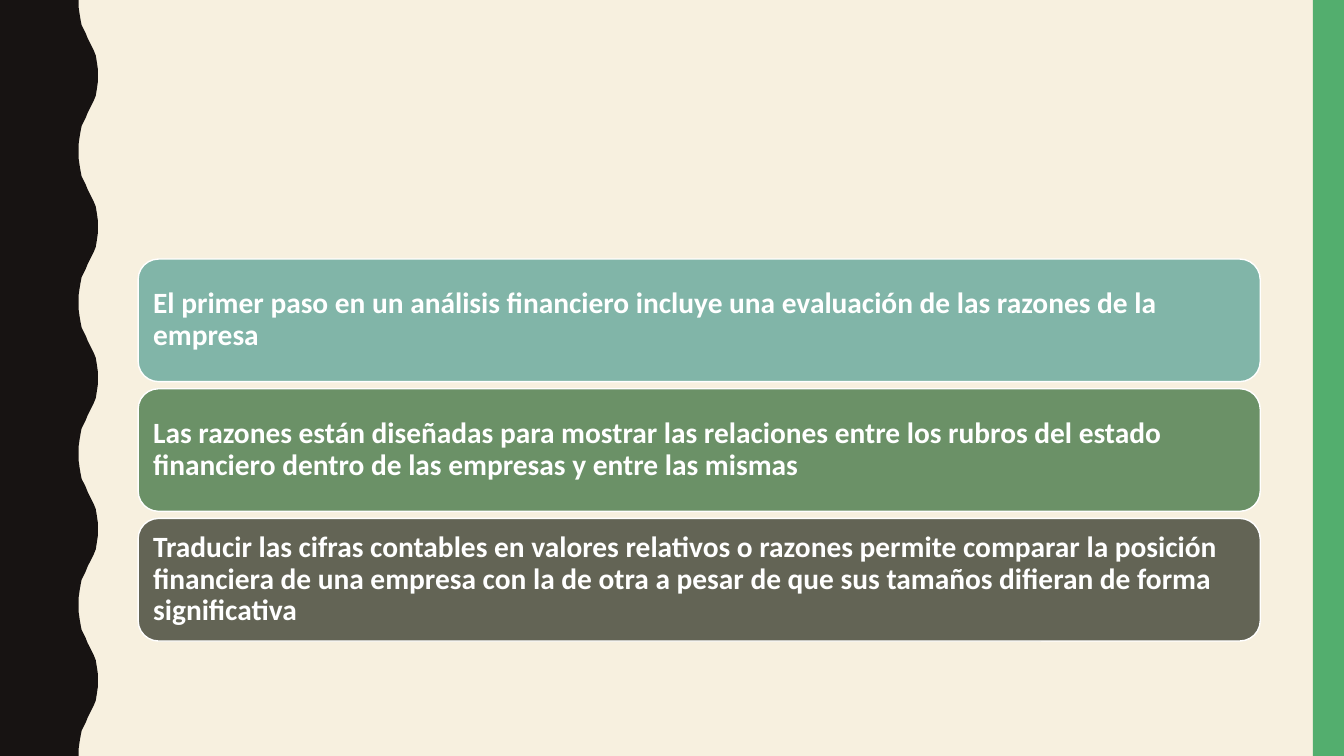
from pptx import Presentation, util as u
from pptx.dml.color import RGBColor
from pptx.enum import shapes, text

COLOURS = {
    "background": "F7F0DF", "wave": "171312", "band": "53AE6E",
    "evaluation": "81B5A8", "design": "6B9167", "comparison": "636455",
    "white": "FFFFFF",
}
WIDTH, HEIGHT = 13.33, 7.5
WAVE_COUNT = 5
HALF_WAVE = [
    (0.78, 0), (0.78, 0.07), (0.79, 0.14), (0.8, 0.2), (0.81, 0.25),
    (0.83, 0.29), (0.85, 0.33), (0.87, 0.38), (0.89, 0.42), (0.91, 0.46),
    (0.93, 0.5), (0.95, 0.55), (0.96, 0.61), (0.97, 0.68), (0.97, 0.75),
]
STATEMENTS = [
    ("evaluation", "El primer paso en un análisis financiero incluye una "
     "evaluación de las razones de la empresa"),
    ("design", "Las razones están diseñadas para mostrar las relaciones entre "
     "los rubros del estado financiero dentro de las empresas y entre las mismas"),
    ("comparison", "Traducir las cifras contables en valores relativos o razones "
     "permite comparar la posición financiera de una empresa con la de otra a "
     "pesar de que sus tamaños difieran de forma significativa"),
]


def paint(fill, colour):
    fill.solid()
    fill.fore_color.rgb = RGBColor.from_string(COLOURS[colour])


def add_wave_edge(slide, height):
    period = height / WAVE_COUNT
    crest_to_trough = [(x, period - y) for x, y in HALF_WAVE[-2::-1]]
    wave = HALF_WAVE + crest_to_trough
    outline = [(x, y + i * period) for i in range(WAVE_COUNT) for x, y in wave]
    outline.append((0, height))
    builder = slide.shapes.build_freeform(0, 0)
    builder.add_line_segments([(u.Inches(x), u.Inches(y)) for x, y in outline])
    edge = builder.convert_to_shape()
    edge.shadow.inherit = False
    paint(edge.fill, "wave")
    edge.line.fill.background()


def add_box(slide, kind, box, colour):
    shape = slide.shapes.add_shape(kind, *map(u.Inches, box))
    shape.shadow.inherit = False
    paint(shape.fill, colour)
    return shape


def add_side_band(slide, box):
    band = add_box(slide, shapes.MSO_SHAPE.RECTANGLE, box, "band")
    band.line.fill.background()


def add_statements(slide, box, gap=0.07):
    left, top, width, height = box
    card_height = (height - gap * (len(STATEMENTS) - 1)) / len(STATEMENTS)
    for row, (colour, statement) in enumerate(STATEMENTS):
        card_top = top + row * (card_height + gap)
        card = add_box(slide, shapes.MSO_SHAPE.ROUNDED_RECTANGLE,
                       (left, card_top, width, card_height), colour)
        paint(card.line.fill, "white")
        card.line.width = u.Pt(1)
        frame = card.text_frame
        frame.word_wrap = True
        frame.vertical_anchor = text.MSO_ANCHOR.MIDDLE
        frame.margin_left = frame.margin_right = u.Inches(0.09)
        frame.margin_top = frame.margin_bottom = u.Inches(0.09)
        paragraph = frame.paragraphs[0]
        paragraph.text = statement
        paragraph.alignment = text.PP_ALIGN.LEFT
        paragraph.line_spacing = 0.9
        paragraph.font.name = "Calibri"
        paragraph.font.size = u.Pt(21)
        paragraph.font.bold = True
        paint(paragraph.font.fill, "white")


def main():
    deck = Presentation()
    deck.slide_width, deck.slide_height = u.Inches(WIDTH), u.Inches(HEIGHT)
    slide = deck.slides.add_slide(deck.slide_layouts[6])
    paint(slide.background.fill, "background")
    add_wave_edge(slide, HEIGHT)
    add_side_band(slide, (WIDTH - 0.31, 0, 0.31, HEIGHT))
    add_statements(slide, (1.37, 2.57, 11.13, 3.79))
    deck.save("out.pptx")


if __name__ == "__main__":
    main()
